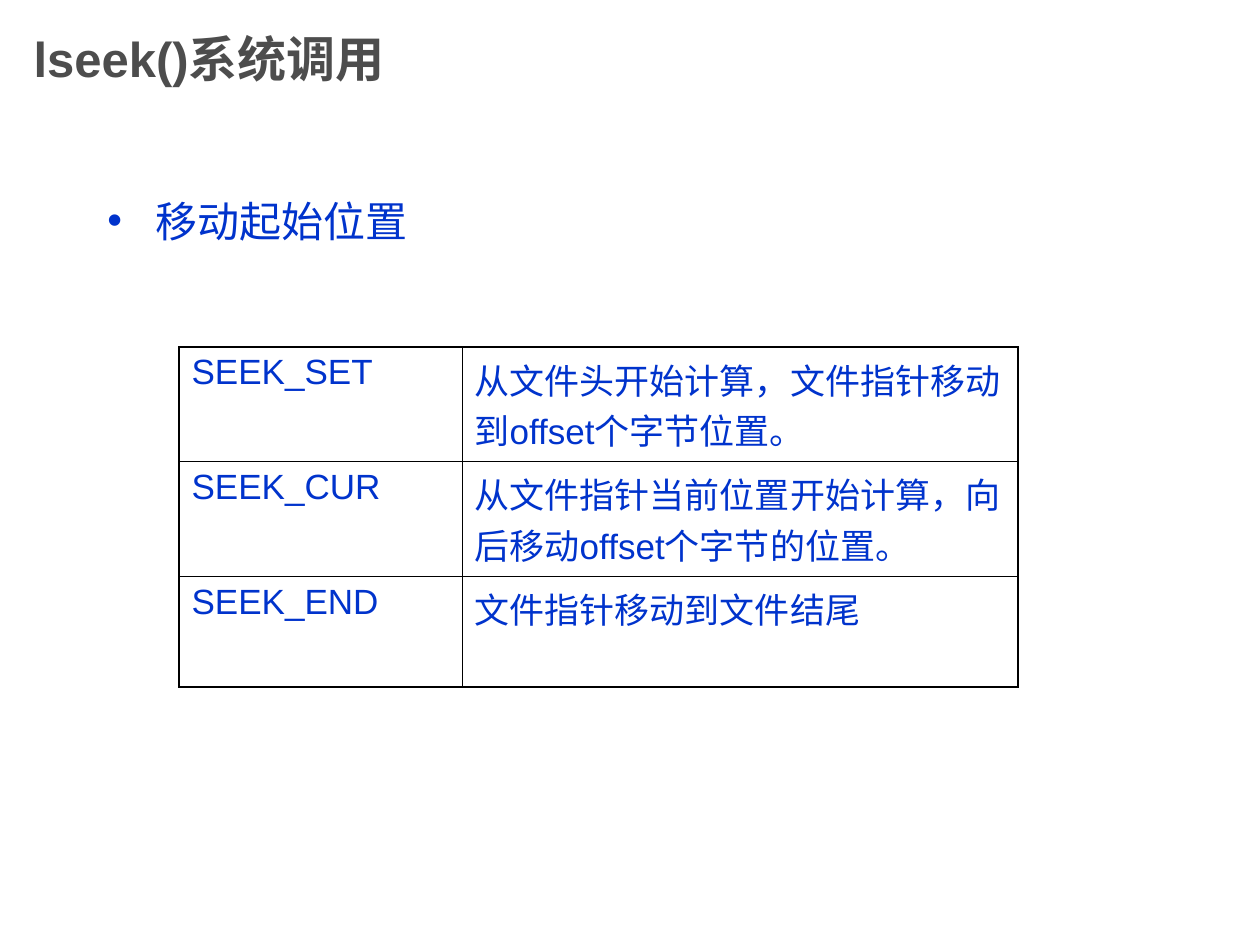
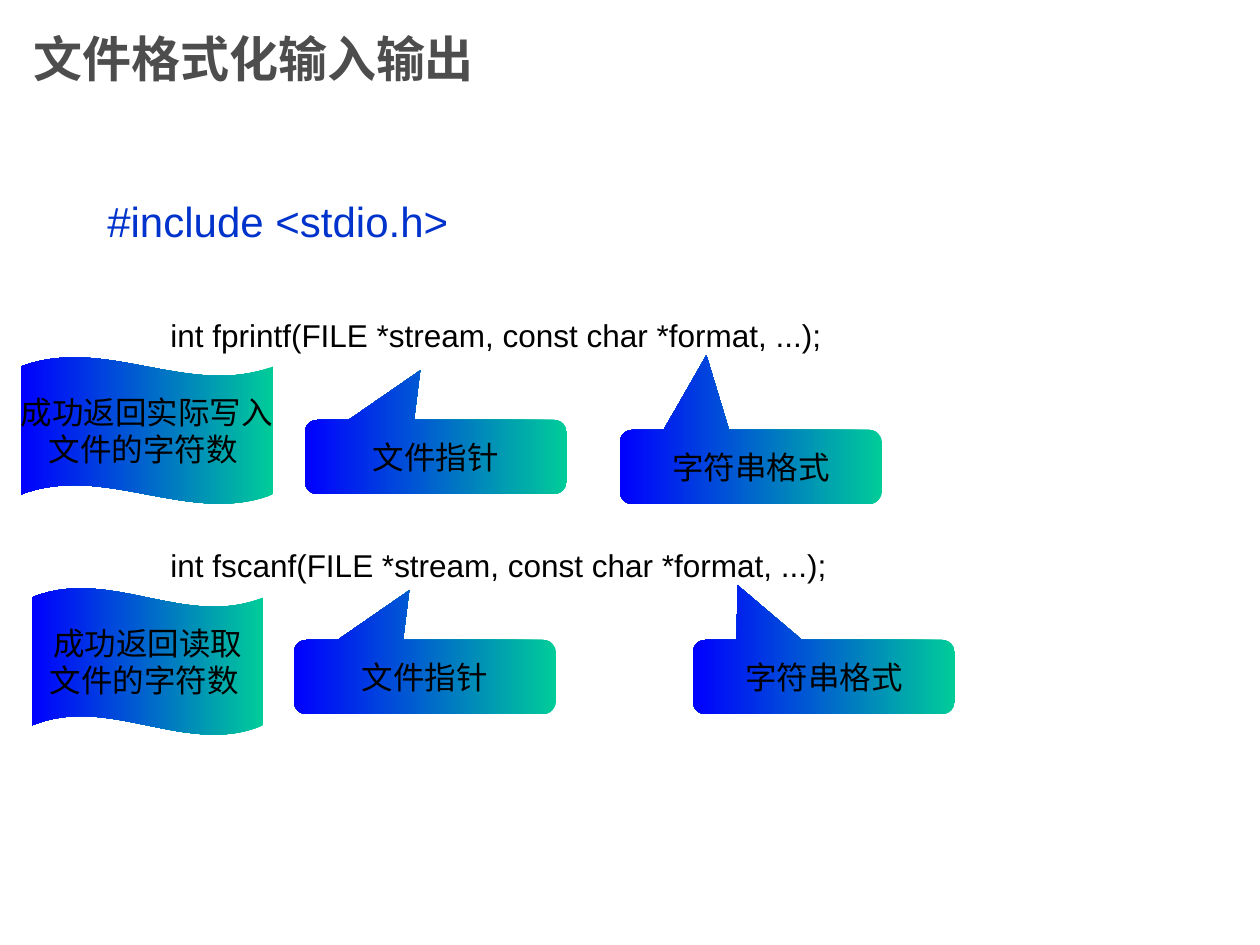
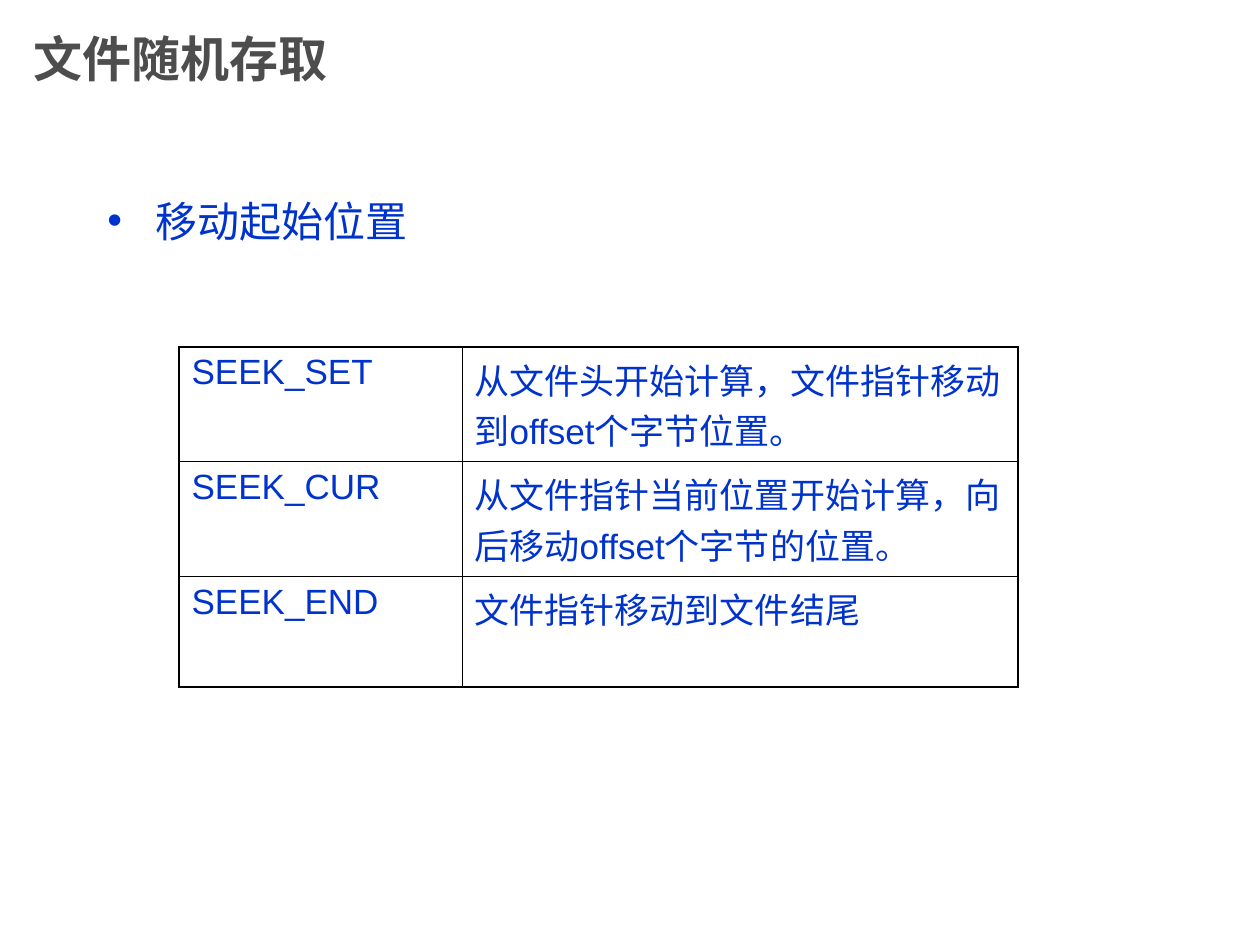
from lxml.etree import SubElement
from pptx import Presentation
from pptx.dml.color import RGBColor
from pptx.enum.shapes import MSO_SHAPE
from pptx.enum.text import MSO_ANCHOR, MSO_AUTO_SIZE, PP_ALIGN
from pptx.oxml.ns import qn
from pptx.util import Pt

EMU_PER_PX = 914400 / 126
FONT = "Arial"
COLORS = {
    "title": "4D4D4D",
    "body": "0033CC",
    "text": "000000",
    "border": "000000",
    "blue": "0000FF",
    "green": "00CC99",
}
BODY_AREA = (95, 189, 1071, 651)
OUTER_BORDER, INNER_BORDER = 1.08, 0.45

SEEK_ROWS = [
    ("SEEK_SET", "从文件头开始计算，文件指针移动到offset个字节位置。"),
    ("SEEK_CUR", "从文件指针当前位置开始计算，向后移动offset个字节的位置。"),
    ("SEEK_END", "文件指针移动到文件结尾"),
]


def px(length):
    return round(length * EMU_PER_PX)


def color(name):
    return RGBColor.from_string(COLORS[name])


class SlideBuilder:
    """Holds the shared style and the slide being filled."""

    def __init__(self):
        self.deck = Presentation()
        self.deck.slide_width = px(1260)
        self.deck.slide_height = px(945)
        self.page = None

    def format_para(self, para, size, color_name, bold=False, before=0):
        para.space_before = Pt(before)
        for span in para.runs:
            span.font.name = FONT
            span.font.size = Pt(size)
            span.font.bold = bold
            span.font.color.rgb = color(color_name)

    def add_page(self, title):
        self.page = self.deck.slides.add_slide(self.deck.slide_layouts[5])
        box = self.page.shapes.title
        box.left, box.top, box.width, box.height = map(px, (21, 0, 945, 116))
        frame = box.text_frame
        frame.text = title
        frame.auto_size = MSO_AUTO_SIZE.NONE
        frame.vertical_anchor = MSO_ANCHOR.MIDDLE
        para = frame.paragraphs[0]
        para.alignment = PP_ALIGN.LEFT
        self.format_para(para, 28, "title", bold=True)

    def add_body(self, lines):
        """Each line is text, size, colour, space before, margin, indent, bullet."""
        box = self.page.shapes.add_textbox(*map(px, BODY_AREA))
        frame = box.text_frame
        frame.word_wrap = True
        frame.text = "\n".join(line[0] for line in lines)
        for para, line in zip(frame.paragraphs, lines):
            _, size, color_name, before, margin, indent, bullet = line
            self.format_para(para, size, color_name, before=before)
            props = para._p.get_or_add_pPr()
            props.set("marL", str(px(margin)))
            props.set("indent", str(px(indent)))
            if bullet:
                tint = SubElement(props, qn("a:buClr"))
                SubElement(tint, qn("a:srgbClr"), val=COLORS[color_name])
                SubElement(props, qn("a:buFont"), typeface=FONT)
                SubElement(props, qn("a:buChar"), char=bullet)

    def add_border(self, cell, side, width):
        line = SubElement(cell._tc.get_or_add_tcPr(), qn(f"a:ln{side}"), w=str(Pt(width)))
        fill = SubElement(line, qn("a:solidFill"))
        SubElement(fill, qn("a:srgbClr"), val=COLORS["border"])

    def add_table(self, left, top, widths, heights, rows):
        frame = self.page.shapes.add_table(
            len(rows), len(widths), *map(px, (left, top, sum(widths), sum(heights))))
        table = frame.table
        table.first_row = table.horz_banding = False
        for column, width in zip(table.columns, widths):
            column.width = px(width)
        for row, height in zip(table.rows, heights):
            row.height = px(height)
        last_row, last_column = len(rows) - 1, len(widths) - 1
        for r, texts in enumerate(rows):
            for c, text in enumerate(texts):
                cell = table.cell(r, c)
                cell.text = text
                self.format_para(cell.text_frame.paragraphs[0], 20, "body", before=5)
                outer = {"L": c == 0, "R": c == last_column,
                         "T": r == 0, "B": r == last_row}
                for side, is_outer in outer.items():
                    self.add_border(cell, side, OUTER_BORDER if is_outer else INNER_BORDER)
                cell.fill.background()

    def add_label(self, kind, area, adjustments, text, wrap=True):
        shape = self.page.shapes.add_shape(kind, *map(px, area))
        for index, value in enumerate(adjustments):
            shape.adjustments[index] = value
        shape.shadow.inherit = False
        shape.line.fill.background()
        shape.fill.gradient()
        shape.fill.gradient_angle = 180
        for stop, name in zip(shape.fill.gradient_stops, ("green", "blue")):
            stop.color.rgb = color(name)
        frame = shape.text_frame
        frame.word_wrap = wrap
        frame.vertical_anchor = MSO_ANCHOR.MIDDLE
        frame.text = text
        for para in frame.paragraphs:
            para.alignment = PP_ALIGN.CENTER
            self.format_para(para, 18, "text")

    def add_callout(self, left, top, tip_x, tip_y, text):
        self.add_label(MSO_SHAPE.ROUNDED_RECTANGULAR_CALLOUT,
                       (left, top, 262, 74), (tip_x, tip_y, 0.17), text)

    def add_wave(self, left, top, width, text):
        self.add_label(MSO_SHAPE.WAVE, (left, top, width, 147), (0.065, 0), text, wrap=False)


def add_seek_page(builder, title):
    builder.add_page(title)
    builder.add_table(179, 347, (283, 556), (114, 115, 111), SEEK_ROWS)
    builder.add_body([("移动起始位置", 24, "body", 6, 48, -48, "•")])


def add_format_page(builder):
    builder.add_page("文件格式化输入输出")
    # Declarations
    builder.add_body([
        ("#include <stdio.h>", 24, "body", 6, 48, -48, None),
        ("int fprintf(FILE *stream, const char *format, ...);", 18, "text", 40, 102, -39, None),
        ("int fscanf(FILE *stream, const char *format, ...);", 18, "text", 110, 102, -39, None),
    ])
    # Parameters
    builder.add_callout(305, 420, -0.06, -1.17, "文件指针")
    builder.add_callout(294, 640, -0.06, -1.17, "文件指针")
    builder.add_callout(620, 430, -0.17, -1.51, "字符串格式")
    builder.add_callout(693, 640, -0.33, -1.24, "字符串格式")
    # Return values
    builder.add_wave(21, 357, 252, "成功返回实际写入\n文件的字符数 ")
    builder.add_wave(32, 588, 231, "成功返回读取\n文件的字符数 ")


def main():
    builder = SlideBuilder()
    add_seek_page(builder, "lseek()系统调用")
    add_format_page(builder)
    add_seek_page(builder, "文件随机存取")
    builder.deck.save("out.pptx")


if __name__ == "__main__":
    main()
